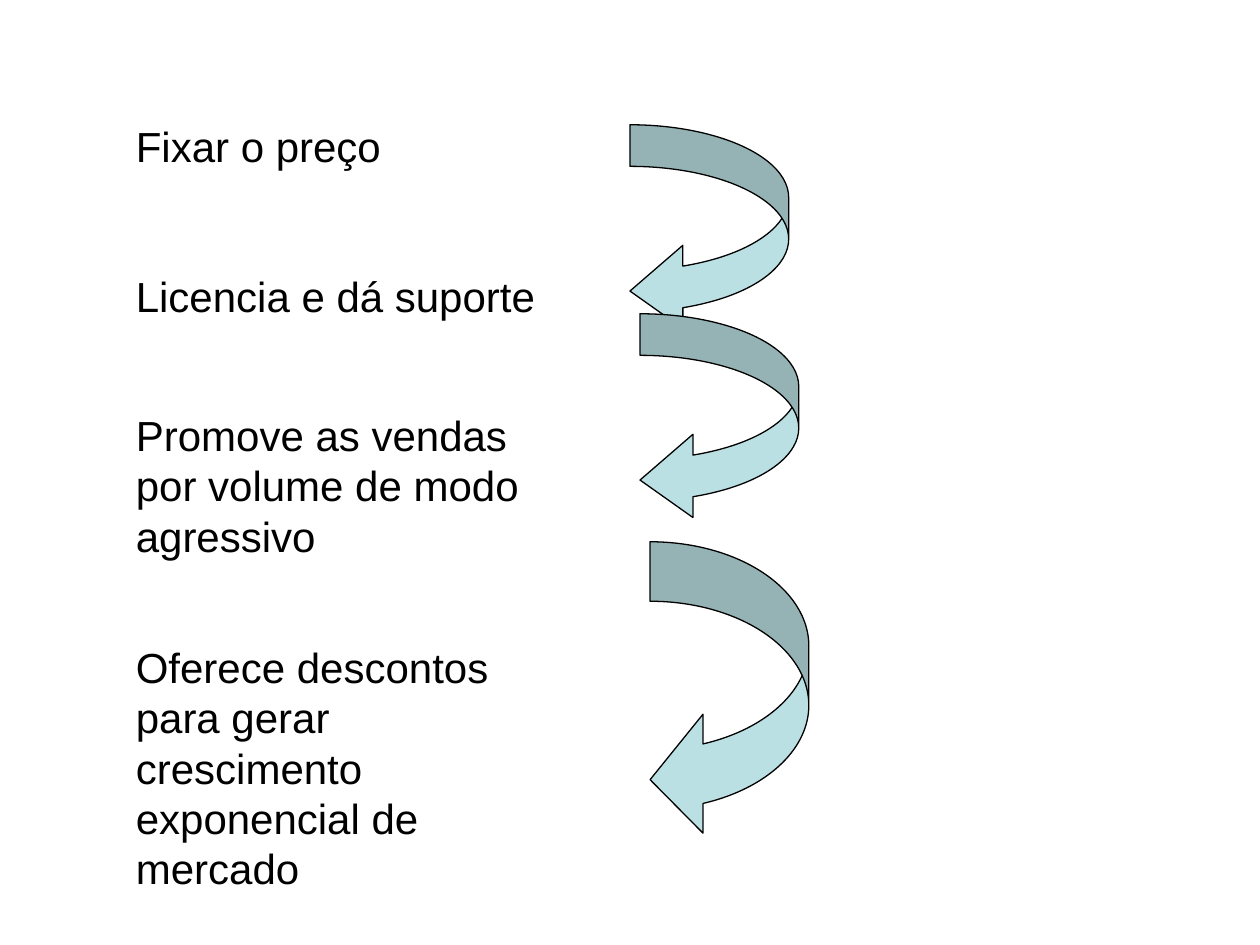
"""Build a slide of four pricing steps linked by curved arrows."""
from pptx import Presentation
from pptx.dml.color import RGBColor
from pptx.enum.shapes import MSO_SHAPE
from pptx.enum.text import MSO_ANCHOR, MSO_AUTO_SIZE, PP_ALIGN
from pptx.util import Inches, Pt


def color(value):
    return RGBColor.from_string(value)


def place(left, top, width, height):
    across, down = deck.slide_width / 100, deck.slide_height / 100
    return [round(n) for n in (left * across, top * down, width * across, height * down)]


deck = Presentation()
deck.slide_width, deck.slide_height = Inches(10), Inches(7.5)
slide = deck.slides.add_slide(deck.slide_layouts[6])

steps = [
    ("Fixar o preço", 12.13, 6.67),
    ("Licencia e dá suporte", 28, 6.67),
    ("Promove as vendas por volume de modo agressivo", 42.67, 17.33),
    ("Oferece descontos para gerar crescimento exponencial de mercado", 67.2, 28),
]
frame_format = {
    "word_wrap": True,
    "auto_size": MSO_AUTO_SIZE.SHAPE_TO_FIT_TEXT,
    "vertical_anchor": MSO_ANCHOR.TOP,
}
font_format = {"name": "Arial", "size": Pt(24)}

for text, top, height in steps:
    box = slide.shapes.add_textbox(*place(9.8, top, 35.4, height))
    for name, value in frame_format.items():
        setattr(box.text_frame, name, value)
    para = box.text_frame.paragraphs[0]
    para.alignment = PP_ALIGN.LEFT
    span = para.add_run()
    span.text = text
    for name, value in font_format.items():
        setattr(span.font, name, value)
    span.font.color.rgb = color("000000")

arrow_rows = [(13.2, 22), (33.2, 22), (57.33, 31.47)]
for index, (top, height) in enumerate(arrow_rows):
    bounds = place(50 + 0.8 * index, top, 12.6, height)
    arrow = slide.shapes.add_shape(MSO_SHAPE.CURVED_LEFT_ARROW, *bounds)
    ratio = arrow.height / arrow.width
    for position, share in enumerate((0.2 * ratio, 0.4 * ratio, 1 / 3)):
        arrow.adjustments[position] = share
    arrow.shadow.inherit = False
    arrow.fill.solid()
    arrow.fill.fore_color.rgb = color("BBE0E3")
    arrow.line.color.rgb = color("000000")
    arrow.line.width = Pt(0.75)

deck.save("out.pptx")
